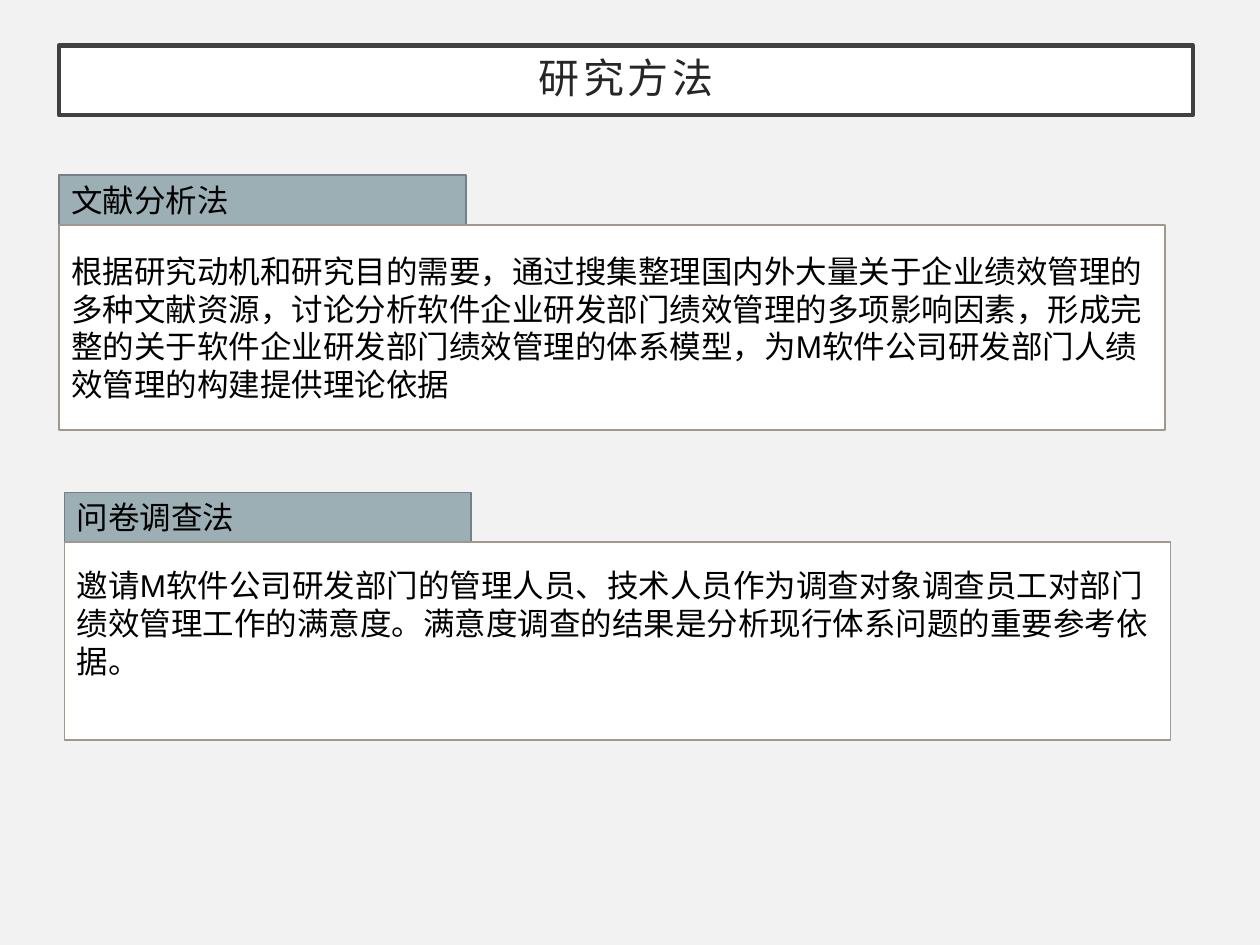
"""Build the slide on research methods: a title and two labelled method panels."""
from pptx import Presentation
from pptx import util as u
from pptx.dml.color import RGBColor
from pptx.enum import lang, shapes, text

HEADING = "研究方法"
METHODS = [
    {
        "name": "文献分析法",
        "detail": "根据研究动机和研究目的需要，通过搜集整理国内外大量关于企业绩效管理的"
                  "多种文献资源，讨论分析软件企业研发部门绩效管理的多项影响因素，形成完"
                  "整的关于软件企业研发部门绩效管理的体系模型，为M软件公司研发部门人绩"
                  "效管理的构建提供理论依据",
        "left": 1.19, "top": 3.53, "height": 4.14, "bottom_inset": 0.13,
    },
    {
        "name": "问卷调查法",
        "detail": "邀请M软件公司研发部门的管理人员、技术人员作为调查对象调查员工对部门"
                  "绩效管理工作的满意度。满意度调查的结果是分析现行体系问题的重要参考依据。",
        "left": 1.3, "top": 9.93, "height": 3.99, "bottom_inset": 0.86,
    },
]
THEME = {
    "background": "F2F2F2",
    "heading": {"fill": "FFFFFF", "line": "404040", "weight": 2.5, "color": "262626",
                "size": 23.4, "font": "Noto Sans CJK SC"},
    "name": {"fill": "9BAFB5", "line": "738186", "weight": 1, "color": "000000",
             "size": 18, "font": "Calibri"},
    "detail": {"fill": "FFFFFF", "line": "A0988C", "weight": 1, "color": "000000",
               "size": 18, "font": "Arial"},
}
NAME_WIDTH, NAME_HEIGHT, DETAIL_WIDTH = 8.2, 1, 22.3


def add_panel(slide, words, box, *, fill, line, weight, color, size, font,
              align=text.PP_ALIGN.LEFT, line_spacing=None, tracking=None,
              side_inset=0.25, bottom_inset=0.13):
    panel = slide.shapes.add_shape(shapes.MSO_SHAPE.RECTANGLE, *map(u.Cm, box))
    panel.shadow.inherit = False
    panel.fill.solid()
    panel.fill.fore_color.rgb = RGBColor.from_string(fill)
    panel.line.color.rgb = RGBColor.from_string(line)
    panel.line.width = u.Pt(weight)

    frame = panel.text_frame
    frame.word_wrap = True
    frame.vertical_anchor = text.MSO_ANCHOR.MIDDLE
    frame.margin_left = frame.margin_right = u.Cm(side_inset)
    frame.margin_top, frame.margin_bottom = u.Cm(0.13), u.Cm(bottom_inset)

    paragraph = frame.paragraphs[0]
    paragraph.alignment = align
    paragraph.line_spacing = line_spacing
    run = paragraph.add_run()
    run.text = words
    run.font.name = font
    run.font.size = u.Pt(size)
    run.font.color.rgb = RGBColor.from_string(color)
    run.font.language_id = lang.MSO_LANGUAGE_ID.SIMPLIFIED_CHINESE
    if tracking:
        run._r.get_or_add_rPr().set("spc", str(tracking * 100))


def main():
    deck = Presentation()
    deck.slide_width, deck.slide_height = u.Cm(25.4), u.Cm(19.05)
    slide = deck.slides.add_slide(deck.slide_layouts[6])
    slide.background.fill.solid()
    slide.background.fill.fore_color.rgb = RGBColor.from_string(THEME["background"])

    add_panel(slide, HEADING, (1.19, 0.92, 22.86, 1.4), **THEME["heading"],
              align=text.PP_ALIGN.CENTER, line_spacing=0.9, tracking=2, side_inset=0.5)
    for method in METHODS:
        left, top = method["left"], method["top"]
        add_panel(slide, method["name"], (left, top, NAME_WIDTH, NAME_HEIGHT),
                  **THEME["name"])
        add_panel(slide, method["detail"],
                  (left, top + NAME_HEIGHT, DETAIL_WIDTH, method["height"]),
                  **THEME["detail"], bottom_inset=method["bottom_inset"])
    deck.save("out.pptx")


if __name__ == "__main__":
    main()
